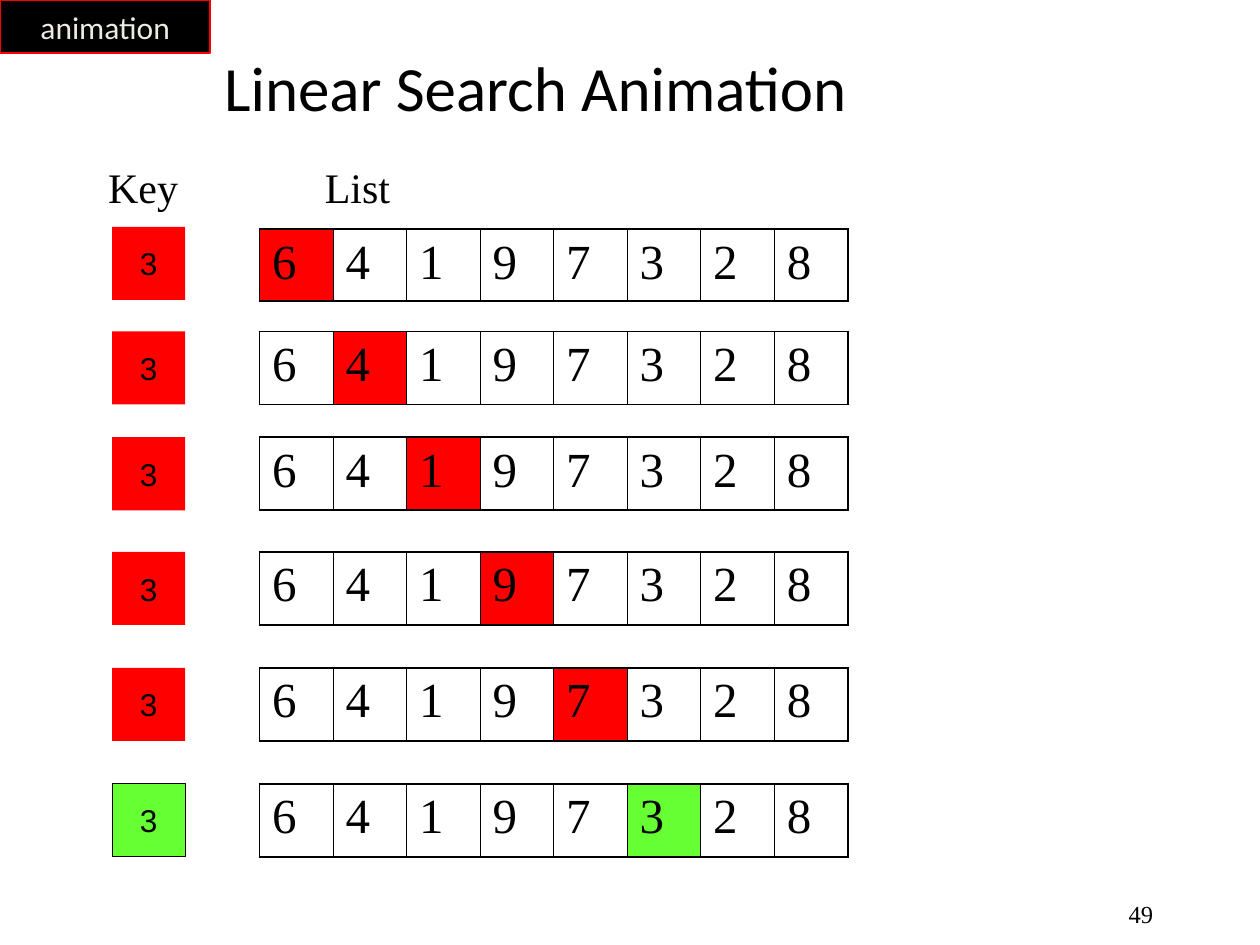
from dataclasses import dataclass

from lxml.etree import SubElement
from pptx import Presentation
from pptx.dml.color import RGBColor
from pptx.enum.shapes import MSO_SHAPE
from pptx.enum.text import MSO_ANCHOR, PP_ALIGN
from pptx.oxml.ns import qn
from pptx.util import Inches, Pt


@dataclass(frozen=True)
class Theme:
    black: str = "000000"
    miss: str = "FF0000"
    found: str = "66FF33"
    cream: str = "EEECE1"
    serif: str = "Times New Roman"
    sans: str = "Calibri"
    key_font: str = "Arial"
    title_size: int = 36
    number_size: int = 28
    label_size: int = 24
    key_size: int = 18
    page_size: int = 14
    outer_line: float = 1.08
    inner_line: float = 0.45


THEME = Theme()
KEY = 3
NUMBERS = [6, 4, 1, 9, 7, 3, 2, 8]
STEP_TOPS = [1.8, 2.63, 3.47, 4.38, 5.3, 6.22]
CELL = 0.5836
KEY_LEFT, LIST_LEFT = 0.89, 2.06


def write_text(frame, text, *, font, size, color=THEME.black,
               align=PP_ALIGN.LEFT, anchor=MSO_ANCHOR.TOP, wrap=True):
    frame.word_wrap = wrap
    frame.vertical_anchor = anchor
    para = frame.paragraphs[0]
    para.alignment = align
    span = para.add_run()
    span.text = text
    span.font.name = font
    span.font.size = Pt(size)
    span.font.color.rgb = RGBColor.from_string(color)


def add_label(page, text, left, top, width, height, **text_format):
    box = page.shapes.add_textbox(Inches(left), Inches(top),
                                  Inches(width), Inches(height))
    write_text(box.text_frame, text, **text_format)


def add_box(page, text, left, top, width, height, fill,
            line=None, line_width=1, **text_format):
    box = page.shapes.add_shape(MSO_SHAPE.RECTANGLE, Inches(left), Inches(top),
                                Inches(width), Inches(height))
    box.shadow.inherit = False
    box.fill.solid()
    box.fill.fore_color.rgb = RGBColor.from_string(fill)
    if line:
        box.line.color.rgb = RGBColor.from_string(line)
        box.line.width = Pt(line_width)
    else:
        box.line.fill.background()
    write_text(box.text_frame, text, align=PP_ALIGN.CENTER,
               anchor=MSO_ANCHOR.MIDDLE, wrap=False, **text_format)


def set_borders(cell, **widths):
    properties = cell._tc.get_or_add_tcPr()
    for side, width in widths.items():
        border = SubElement(properties, qn(f"a:ln{side}"), w=str(Pt(width)))
        fill = SubElement(border, qn("a:solidFill"))
        SubElement(fill, qn("a:srgbClr"), val=THEME.black)


def add_list(page, top, height, marked, mark_color):
    table = page.shapes.add_table(
        1, len(NUMBERS), Inches(LIST_LEFT), Inches(top),
        Inches(CELL * len(NUMBERS)), Inches(height)).table
    table.first_row = table.horz_banding = False
    last = len(NUMBERS) - 1
    for index, number in enumerate(NUMBERS):
        cell = table.cell(0, index)
        cell.margin_left = cell.margin_right = Inches(0.1)
        cell.margin_top = cell.margin_bottom = Inches(0.05)
        set_borders(cell,
                    L=THEME.outer_line if index == 0 else THEME.inner_line,
                    R=THEME.outer_line if index == last else THEME.inner_line,
                    T=THEME.outer_line, B=THEME.outer_line)
        if index == marked:
            cell.fill.solid()
            cell.fill.fore_color.rgb = RGBColor.from_string(mark_color)
        else:
            cell.fill.background()
        write_text(cell.text_frame, str(number),
                   font=THEME.serif, size=THEME.number_size)


def add_step(page, index, top):
    found = NUMBERS[index] == KEY
    color = THEME.found if found else THEME.miss
    # The first list sits slightly lower and is slightly shorter
    list_top, height = (top + 0.02, 0.57) if index == 0 else (top, 0.58)
    add_list(page, list_top, height, index, color)
    add_box(page, str(KEY), KEY_LEFT, top, 0.58, 0.58, color,
            line=THEME.black if found else None, line_width=0.75,
            font=THEME.key_font, size=THEME.key_size)


def main():
    deck = Presentation()
    deck.slide_width, deck.slide_height = Inches(10), Inches(7.5)
    page = deck.slides.add_slide(deck.slide_layouts[6])

    # Heading and corner tag
    add_label(page, "Linear Search Animation", 0, 0.31, 8.5, 0.75,
              font=THEME.sans, size=THEME.title_size,
              align=PP_ALIGN.CENTER, anchor=MSO_ANCHOR.MIDDLE)
    add_box(page, "animation", 0, 0, 1.67, 0.42, THEME.black, line=THEME.miss,
            font=THEME.sans, size=THEME.key_size, color=THEME.cream)

    # Column labels
    for text, left, width in [("Key", 0.76, 1.22), ("List", 2.48, 2.44)]:
        add_label(page, text, left, 1.23, width, 0.5,
                  font=THEME.serif, size=THEME.label_size)

    # One comparison per row, until the key is found
    for index, top in enumerate(STEP_TOPS):
        add_step(page, index, top)

    # Page number
    add_label(page, "49", 7.17, 7, 2.08, 0.5, font=THEME.serif,
              size=THEME.page_size, align=PP_ALIGN.RIGHT,
              anchor=MSO_ANCHOR.MIDDLE)

    deck.save("out.pptx")


if __name__ == "__main__":
    main()
